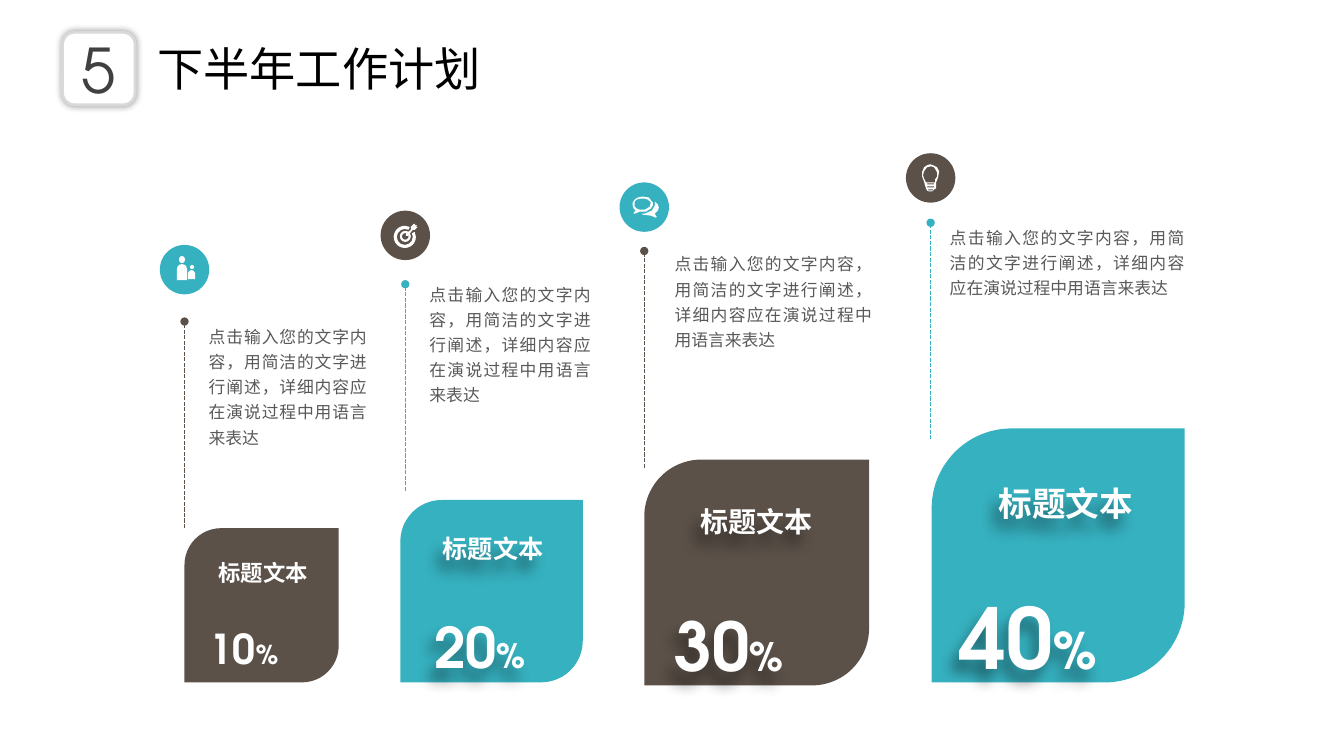
from dataclasses import dataclass

from lxml import etree
from pptx import Presentation
from pptx.dml.color import RGBColor
from pptx.enum.dml import MSO_LINE
from pptx.enum.shapes import MSO_CONNECTOR, MSO_SHAPE
from pptx.enum.text import MSO_ANCHOR, MSO_AUTO_SIZE, PP_ALIGN
from pptx.oxml.ns import qn
from pptx.util import Inches, Pt

DIAGONAL, ROUND_RECT = MSO_SHAPE.ROUND_2_DIAG_RECTANGLE, MSO_SHAPE.ROUNDED_RECTANGLE
OVAL, ARCH = MSO_SHAPE.OVAL, MSO_SHAPE.ROUND_2_SAME_RECTANGLE
DONUT, ARC = MSO_SHAPE.DONUT, MSO_SHAPE.BLOCK_ARC
STRAIGHT, DASH = MSO_CONNECTOR.STRAIGHT, MSO_LINE.SQUARE_DOT
LEFT, CENTER, JUSTIFY = PP_ALIGN.LEFT, PP_ALIGN.CENTER, PP_ALIGN.JUSTIFY
TOP, MIDDLE = MSO_ANCHOR.TOP, MSO_ANCHOR.MIDDLE
NO_FIT = MSO_AUTO_SIZE.NONE


@dataclass(frozen=True)
class Theme:
    teal: str = "36B1C0"
    brown: str = "5B5149"
    white: str = "FFFFFF"
    black: str = "000000"
    body: str = "595959"
    digit: str = "404040"
    border: str = "D9D9D9"
    latin: str = "TeX Gyre Adventor"
    cjk: str = "Noto Sans CJK SC"
    title_size: float = 33
    badge_size: float = 44
    body_size: float = 12


THEME = Theme()
BODY = "点击输入您的文字内容，用简洁的文字进行阐述，详细内容应在演说过程中用语言来表达"
LABEL = "标题文本"
DISC = 0.49

PEOPLE = [(ARCH, (0.17, 0.19, 0.10, 0.16), (0.5,)), (OVAL, (0.19, 0.11, 0.06, 0.07), ()),
          (ARCH, (0.28, 0.25, 0.07, 0.09), (0.5,)), (OVAL, (0.30, 0.20, 0.04, 0.04), ())]
RINGS = [(ARC, (0.13, 0.15, 0.22, 0.22), (199.8, 178.2, 0.14)),
         (DONUT, (0.19, 0.20, 0.11, 0.11), (0.2,))]
DART = [[(35, 16), (36, 15), (35, 14), (34, 15), (34, 13), (33, 13), (30, 16), (30, 19),
         (25, 23), (25, 25), (27, 25), (32, 19), (34, 19), (37, 16)]]
BUBBLE = [[(26, 29), (31, 26), (33, 23), (33, 20), (29, 15), (23, 14), (18, 15), (15, 17),
           (13, 20), (13, 23), (14, 26), (16, 28), (14, 30), (14, 31), (15, 31), (20, 29)],
          [(20, 27), (17, 26), (15, 24), (15, 19), (17, 17), (21, 16), (25, 16), (28, 17),
           (31, 20), (30, 24), (25, 27)]]
REPLY = [[(36, 33), (35, 31), (38, 28), (39, 25), (38, 22), (35, 19), (35, 23), (32, 28),
          (25, 31), (22, 31), (23, 32), (31, 33), (36, 35), (37, 34)]]
BULB = [[(23, 38), (21, 37), (20, 35), (19, 32), (18, 28), (16, 23), (16, 19), (18, 14),
         (21, 12), (24, 11), (27, 12), (31, 14), (33, 18), (32, 24), (30, 29), (30, 35),
         (28, 36), (26, 38)],
        [(20, 29), (29, 29), (29, 26), (31, 23), (31, 19), (28, 14), (25, 13), (21, 14),
         (18, 18), (17, 22), (18, 25)],
        [(21, 30), (28, 30), (28, 31), (21, 31)],
        [(21, 33), (28, 33), (28, 34), (21, 34)],
        [(22, 36), (27, 36), (27, 37), (22, 37)]]


@dataclass(frozen=True)
class Step:
    color: str
    card: tuple
    corner: float
    body: tuple
    label: tuple
    label_size: float
    share: tuple
    number: str
    share_sizes: tuple
    stalk: tuple
    disc_top: float
    disc_color: str
    pieces: tuple = ()
    outlines: tuple = ()
    shadow: bool = True


STEPS = [
    Step(THEME.brown, (1.83, 5.24, 1.53, 1.53), 0.238, (2.07, 3.19, 1.57, 1.26),
         (2.05, 5.55, 1.12, 0.27), 16, (1.95, 6.21, 0.94, 0.44), "10", (29.4, 18.6),
         (1.83, 5.24, 3.19), 2.43, THEME.teal, pieces=PEOPLE, shadow=False),
    Step(THEME.teal, (3.97, 4.96, 1.81, 1.81), 0.228, (4.26, 2.77, 1.6, 1.26),
         (4.22, 5.29, 1.34, 0.31), 18, (4.06, 6.13, 1.4, 0.56), "20", (40, 24),
         (4.02, 4.87, 2.82), 2.09, THEME.brown, pieces=RINGS, outlines=(DART,)),
    Step(THEME.brown, (6.39, 4.56, 2.23, 2.24), 0.254, (6.69, 2.47, 1.96, 1.01),
         (6.8, 4.97, 1.4, 0.4), 20, (6.49, 6.12, 1.48, 0.56), "30", (48, 28),
         (6.39, 4.64, 2.49), 1.81, THEME.teal, outlines=(BUBBLE, REPLY)),
    Step(THEME.teal, (9.24, 4.25, 2.51, 2.52), 0.316, (9.42, 2.21, 2.33, 0.76),
         (9.62, 4.77, 1.9, 0.45), 24, (9.4, 6.03, 1.59, 0.56), "40", (60, 36),
         (9.23, 4.36, 2.21), 1.52, THEME.brown, outlines=(BULB,)),
]


def rgb(color):
    return RGBColor.from_string(color)


def add_shadow(sp, alpha, blur, distance=0, angle=0):
    sp.shadow.inherit = False
    effects = sp._element.spPr.find(qn("a:effectLst"))
    shadow = etree.SubElement(effects, qn("a:outerShdw"), blurRad=str(Pt(blur)),
                              dist=str(Pt(distance)), dir=str(angle * 60000),
                              algn="ctr", rotWithShape="0")
    color = etree.SubElement(shadow, qn("a:srgbClr"), val=THEME.black)
    etree.SubElement(color, qn("a:alpha"), val=str(alpha * 1000))


def paint(sp, color):
    sp.shadow.inherit = False
    sp.fill.solid()
    sp.fill.fore_color.rgb = rgb(color)
    sp.line.fill.background()
    return sp


def add_preset(shapes, kind, box, color, adjustments=()):
    sp = paint(shapes.add_shape(kind, *map(Inches, box)), color)
    for i, value in enumerate(adjustments):
        sp.adjustments[i] = value
    return sp


def add_outline(shapes, contours, left, top):
    builder = shapes.build_freeform(*contours[0][0], scale=Inches(0.01))
    builder.add_line_segments(contours[0][1:])
    for contour in contours[1:]:
        builder.move_to(*contour[0])
        builder.add_line_segments(contour[1:])
    paint(builder.convert_to_shape(Inches(left), Inches(top)), THEME.white)


def write(sp, runs, size, color, align, anchor=MIDDLE, bold=False, latin=THEME.latin):
    tf = sp.text_frame
    tf.word_wrap = True
    tf.vertical_anchor = anchor
    p = tf.paragraphs[0]
    p.alignment = align
    for text, run_size in runs:
        r = p.add_run()
        r.text = text
        if run_size != size:
            r.font.size = Pt(run_size)
    p.font.size, p.font.bold, p.font.name = Pt(size), bold, latin
    p.font.color.rgb = rgb(color)
    etree.SubElement(p._p.pPr.find(qn("a:defRPr")), qn("a:ea"), typeface=THEME.cjk)
    return tf


def add_card_text(slide, box, runs, shadow):
    sp = slide.shapes.add_textbox(*map(Inches, box))
    write(sp, runs, runs[0][1], THEME.white, CENTER, bold=True)
    if shadow:
        add_shadow(sp, 40, 10, 10, 120)


def add_body(slide, box):
    sp = slide.shapes.add_textbox(*map(Inches, box))
    tf = write(sp, [(BODY, THEME.body_size)], THEME.body_size, THEME.body, JUSTIFY, TOP)
    tf.margin_left = tf.margin_top = tf.margin_right = tf.margin_bottom = 0
    tf.paragraphs[0].line_spacing = Pt(18)


def add_stalk(slide, x, bottom, top, color):
    stalk = slide.shapes.add_connector(STRAIGHT, *map(Inches, (x, bottom, x, top)))
    stalk.line.color.rgb = rgb(color)
    stalk.line.width = Pt(1)
    stalk.line.dash_style = DASH
    props = stalk._element.spPr
    etree.SubElement(props.find(qn("a:ln")), qn("a:tailEnd"), type="oval")
    etree.SubElement(props, qn("a:effectLst"))


def add_icon(slide, step):
    left, top = step.stalk[0] - DISC / 2, step.disc_top
    shapes = slide.shapes.add_group_shape().shapes
    add_preset(shapes, OVAL, (left, top, DISC, DISC), step.disc_color)
    for kind, (x, y, w, h), adjustments in step.pieces:
        add_preset(shapes, kind, (left + x, top + y, w, h), THEME.white, adjustments)
    for contours in step.outlines:
        add_outline(shapes, contours, left, top)


def add_step(slide, step):
    add_preset(slide.shapes, DIAGONAL, step.card, step.color, (step.corner, 0))
    add_body(slide, step.body)
    add_card_text(slide, step.label, [(LABEL, step.label_size)], step.shadow)
    add_card_text(slide, step.share, list(zip((step.number, "%"), step.share_sizes)), step.shadow)
    add_stalk(slide, *step.stalk, step.color)
    add_icon(slide, step)


def add_heading(slide):
    sp = slide.shapes.title
    sp.left, sp.top, sp.width, sp.height = map(Inches, (1.46, 0.35, 3.44, 0.66))
    tf = write(sp, [("下半年工作计划", THEME.title_size)], THEME.title_size, THEME.black, LEFT,
               TOP, latin=THEME.cjk)
    tf.word_wrap = False
    tf.auto_size = NO_FIT
    badge = add_preset(slide.shapes, ROUND_RECT, (0.62, 0.32, 0.72, 0.72), THEME.white)
    badge.line.color.rgb = rgb(THEME.border)
    badge.line.width = Pt(2)
    add_shadow(badge, 40, 5)
    write(badge, [("5", THEME.badge_size)], THEME.badge_size, THEME.digit, CENTER)


def main():
    prs = Presentation()
    prs.slide_width, prs.slide_height = Inches(13.33), Inches(7.5)
    slide = prs.slides.add_slide(prs.slide_layouts[5])
    add_heading(slide)
    for step in STEPS:
        add_step(slide, step)
    prs.save("out.pptx")


if __name__ == "__main__":
    main()
